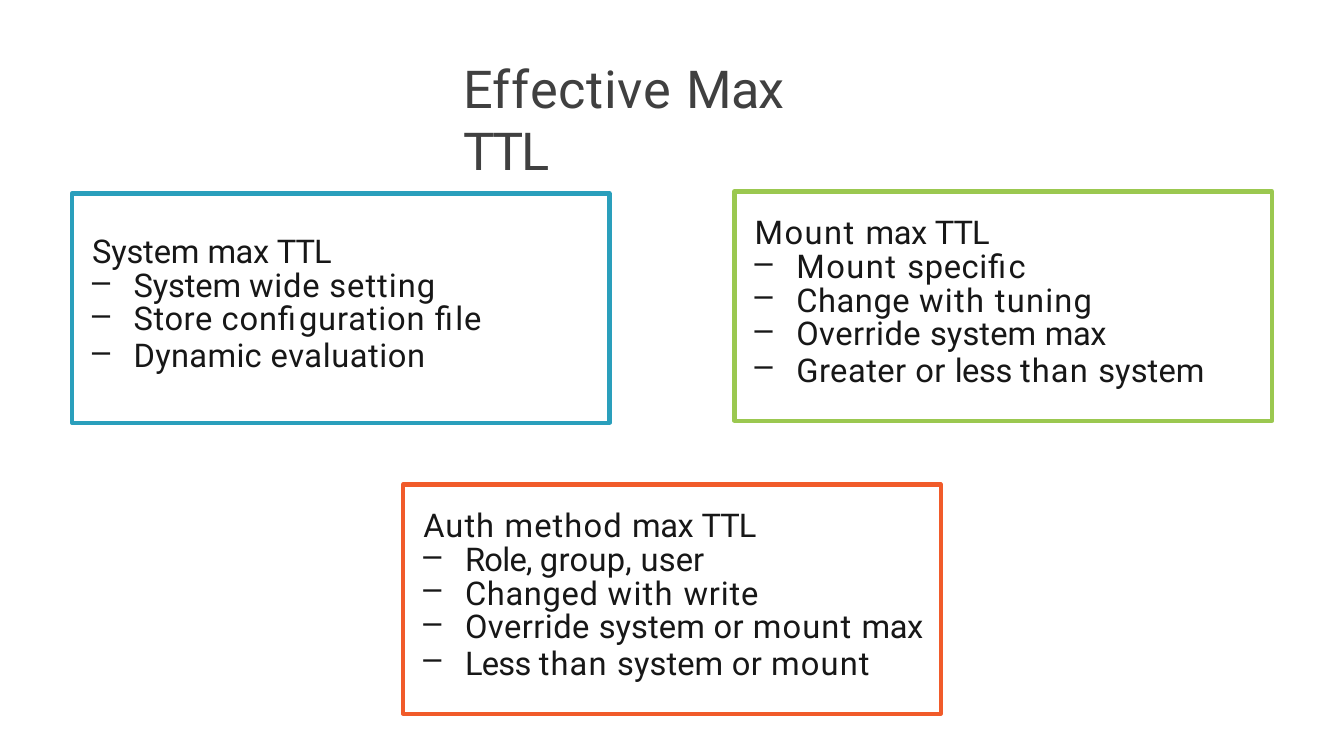
from lxml import etree
from pptx import Presentation
from pptx.dml.color import RGBColor
from pptx.enum.shapes import MSO_SHAPE
from pptx.enum.text import MSO_ANCHOR, MSO_AUTO_SIZE, PP_ALIGN
from pptx.oxml.ns import qn
from pptx.util import Inches, Pt

RECT = MSO_SHAPE.RECTANGLE
TOP = MSO_ANCHOR.TOP
LEFT = PP_ALIGN.LEFT
NO_FIT = MSO_AUTO_SIZE.NONE

FONT = "Roboto"
COLORS = {"title": "404040", "text": "171717", "system": "2A9FBC",
          "mount": "9BC850", "auth": "F15B2A"}

TITLE = "Effective Max TTL"
TITLE_SPACING = {"Effective": 0.8, "Max": -0.7, "TTL": -2.5}

# Letter spacing of each word, in points
WORD_SPACING = {
    "Auth": 1.1, "method": 1.2, "max": -0.5, "TTL": -1.1, "Role,": -0.8,
    "group,": 0.3, "user": 0.1, "Changed": 0.7, "with": 1.4, "write": 0.9,
    "Override": 0.5, "system": 0.1, "or": 0.5, "mount": 1.2, "Less": -0.8,
    "than": 1.2, "Mount": 1.6, "specific": 0.7, "Change": 0.6, "tuning": 1.3,
    "Greater": 0.5, "less": -0.5, "System": -0.2, "wide": 0.8, "setting": 1.1,
    "Store": 0.6, "configuration": 0.9, "file": 0.7, "Dynamic": 0.3,
    "evaluation": 0.6,
}

BOX_W, BOX_H = 8, 3.41
# color, left, top, top inset, heading, bullets
BOXES = [
    ("system", 1.07, 2.88, 0.6, "System max TTL",
     ["System wide setting", "Store configuration file", "Dynamic evaluation"]),
    ("mount", 10.93, 2.85, 0.35, "Mount max TTL",
     ["Mount specific", "Change with tuning", "Override system max",
      "Greater or less than system"]),
    ("auth", 6, 7.21, 0.35, "Auth method max TTL",
     ["Role, group, user", "Changed with write",
      "Override system or mount max", "Less than system or mount"]),
]


def rgb(name):
    return RGBColor.from_string(COLORS[name])


def set_frame(tf, top_inset):
    tf.word_wrap = True
    tf.auto_size = NO_FIT
    tf.vertical_anchor = TOP
    tf.margin_left = tf.margin_right = tf.margin_bottom = 0
    tf.margin_top = Inches(top_inset)


def write_words(p, text, spacing, size, color):
    """Write one run per word, each with its own letter spacing."""
    p.alignment = LEFT
    p.font.name = FONT
    p.font.size = Pt(size)
    p.font.color.rgb = rgb(color)
    words = text.split()
    for i, word in enumerate(words):
        r = p.add_run()
        r.text = word + (" " if i < len(words) - 1 else "")
        r.font._element.set("spc", str(round(spacing[word] * 100)))


def set_indent(p, left, first=0, bullet=None):
    pPr = p._p.get_or_add_pPr()
    pPr.set("marL", str(Inches(left)))
    pPr.set("indent", str(Inches(first)))
    if bullet:
        mark = etree.Element(qn("a:buChar"), char=bullet)
        pPr.find(qn("a:defRPr")).addprevious(mark)


def add_box(s, color, left, top, inset, heading, bullets):
    sp = s.shapes.add_shape(RECT, Inches(left), Inches(top),
                            Inches(BOX_W), Inches(BOX_H))
    sp.shadow.inherit = False
    sp.fill.background()
    sp.line.color.rgb = rgb(color)
    sp.line.width = Pt(4.5)
    tf = sp.text_frame
    set_frame(tf, inset)
    for i, text in enumerate([heading] + bullets):
        p = tf.add_paragraph() if i else tf.paragraphs[0]
        write_words(p, text, WORD_SPACING, 35, "text")
        p.line_spacing = Pt(39 if i in (0, len(bullets)) else 36)
        if i:
            set_indent(p, 0.92, -0.62, "–")
        else:
            set_indent(p, 0.3)


def main():
    prs = Presentation()
    prs.slide_width, prs.slide_height = Inches(20), Inches(11.25)
    s = prs.slides.add_slide(prs.slide_layouts[5])

    title = s.shapes.title
    title.left, title.top = Inches(6.89), Inches(0.82)
    title.width, title.height = Inches(6.23), Inches(0.96)
    set_frame(title.text_frame, 0.01)
    write_words(title.text_frame.paragraphs[0], TITLE, TITLE_SPACING, 56, "title")

    for box in BOXES:
        add_box(s, *box)

    prs.save("out.pptx")


if __name__ == "__main__":
    main()
